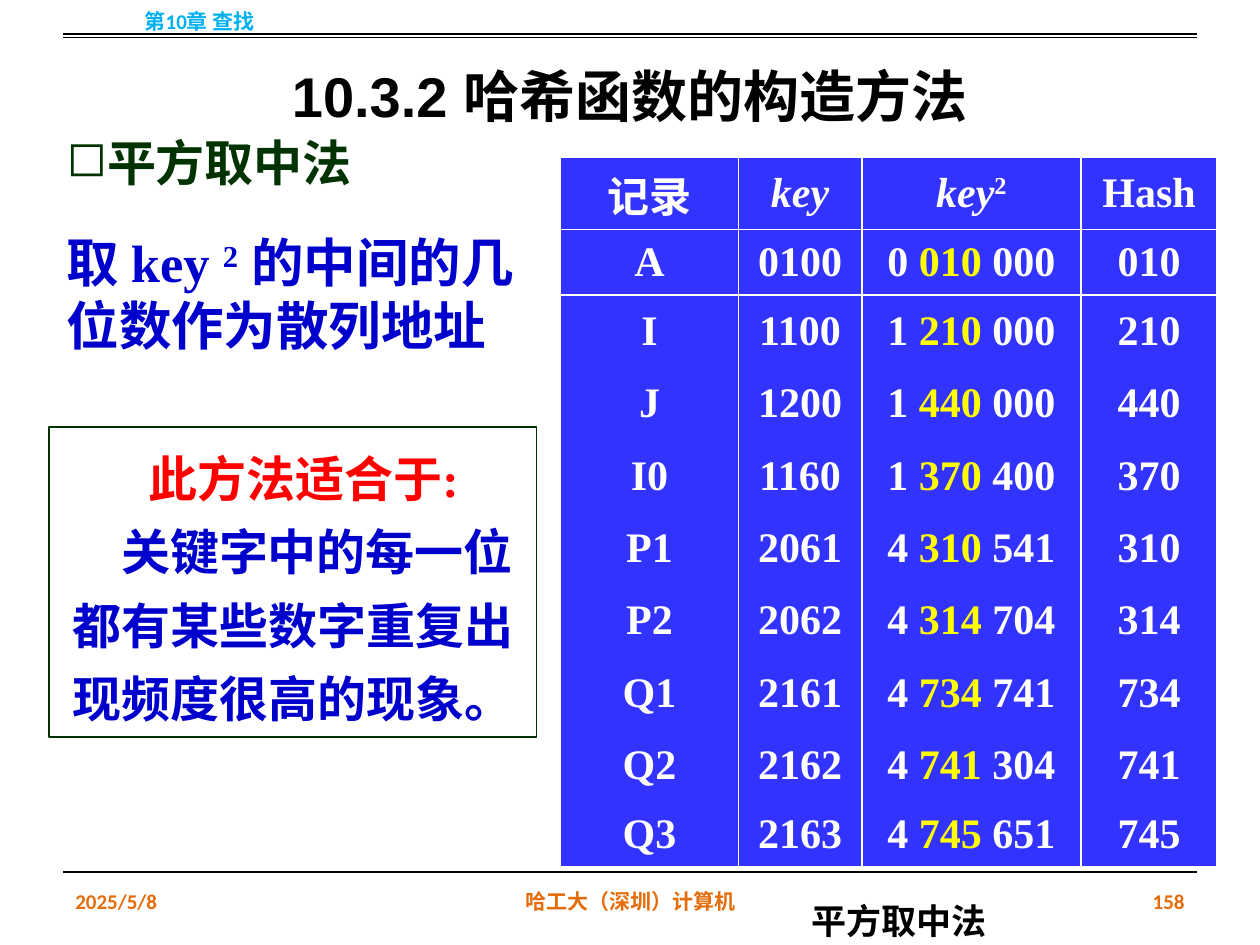
import pptx
import pptx.util
import pptx.dml.color
import pptx.enum.text
import pptx.enum.shapes
import pptx.oxml.ns
import lxml.etree

Inches = pptx.util.Inches
Pt = pptx.util.Pt
RGBColor = pptx.dml.color.RGBColor
ALIGN = pptx.enum.text.PP_ALIGN
ANCHOR = pptx.enum.text.MSO_ANCHOR
qn = pptx.oxml.ns.qn

BLACK = RGBColor(0, 0, 0)
WHITE = RGBColor(255, 255, 255)
ORANGE = RGBColor(0xE4, 0x6C, 0x0A)
SKY = RGBColor(0x00, 0xB0, 0xF0)
GREEN = RGBColor(0x00, 0x33, 0x00)
NAVY = RGBColor(0x00, 0x00, 0xCC)
RED = RGBColor(255, 0, 0)
YELLOW = RGBColor(255, 255, 0)
TABLE_BLUE = RGBColor(0x33, 0x33, 0xFF)
SERIF = "Times New Roman"
NO_STYLE = "{2D5ABB26-0587-4C30-8999-92F81FD0307C}"

RULES = [0.27, 0.3, 6.92]
SMALL_LABELS = [
    ("第10章 查找", (0, -0.03, 3.17, 0.4), ALIGN.CENTER, SKY),
    ("2025/5/8", (0.5, 6.95, 2.33, 0.4), ALIGN.LEFT, ORANGE),
    ("哈工大（深圳）计算机", (3.42, 6.95, 3.17, 0.4), ALIGN.CENTER, ORANGE),
    ("158", (7.17, 6.95, 2.33, 0.4), ALIGN.RIGHT, ORANGE),
]
HEADER = [
    ["记录"],
    [("key", {"italic": True})],
    [("key", {"italic": True}), ("2", {"raised": True})],
    ["Hash"],
]
RECORDS = [
    ("A", "0100", "0 010 000"),
    ("I", "1100", "1 210 000"),
    ("J", "1200", "1 440 000"),
    ("I0", "1160", "1 370 400"),
    ("P1", "2061", "4 310 541"),
    ("P2", "2062", "4 314 704"),
    ("Q1", "2161", "4 734 741"),
    ("Q2", "2162", "4 741 304"),
    ("Q3", "2163", "4 745 651"),
]
COLUMN_WIDTHS = [1.41, 0.98, 1.74, 1.08]
ROW_HEIGHTS = [0.57, 0.52] + [0.575] * 7 + [0.52]


def write(para, spans, size=24, color=WHITE, font=SERIF, align=ALIGN.LEFT,
          spacing=None, left=0, indent=0, bullet=None):
    properties = para._p.get_or_add_pPr()
    if left or indent:
        properties.set("marL", str(Inches(left)))
        properties.set("indent", str(Inches(indent)))
    if bullet:
        lxml.etree.SubElement(properties, qn("a:buChar")).set("char", bullet)
    para.alignment = align
    if spacing:
        para.line_spacing = spacing
    for item in [spans] if isinstance(spans, str) else spans:
        text, style = (item, {}) if isinstance(item, str) else item
        span = para.add_run()
        span.text = text
        span.font.name = font
        span.font.size = Pt(size)
        span.font.bold = True
        span.font.color.rgb = style.get("color", color)
        if style.get("italic"):
            span.font.italic = True
        if style.get("raised"):
            span.font._element.set("baseline", "30000")


def add_text(page, spans, area, anchor=ANCHOR.TOP, wrap=True, **style):
    box = page.shapes.add_textbox(*map(Inches, area))
    box.text_frame.word_wrap = wrap
    box.text_frame.vertical_anchor = anchor
    write(box.text_frame.paragraphs[0], spans, **style)


def add_rule(page, y):
    rule = page.shapes.add_connector(pptx.enum.shapes.MSO_CONNECTOR.STRAIGHT,
                                     Inches(0.5), Inches(y), Inches(9.5), Inches(y))
    rule.line.color.rgb = BLACK
    rule.line.width = Pt(0.75)
    lxml.etree.SubElement(rule._element.spPr, qn("a:effectLst"))


def add_borders(cell, sides):
    properties = cell._tc.get_or_add_tcPr()
    for side in sides:
        line = lxml.etree.SubElement(properties, qn("a:ln" + side), w=str(Pt(1)))
        fill = lxml.etree.SubElement(line, qn("a:solidFill"))
        lxml.etree.SubElement(fill, qn("a:srgbClr"), val=str(WHITE))


def add_hash_table(page):
    rows = [HEADER]
    for name, key, square in RECORDS:
        first, middle, last = square.split()
        square_spans = [first + " ", (middle, {"color": YELLOW}), " " + last]
        rows.append([[name], [key], square_spans, [middle]])
    frame = page.shapes.add_table(len(rows), len(COLUMN_WIDTHS), Inches(4.45), Inches(1.25),
                                  Inches(sum(COLUMN_WIDTHS)), Inches(sum(ROW_HEIGHTS)))
    table = frame.table
    table._tbl.tblPr.find(qn("a:tableStyleId")).text = NO_STYLE
    for column, width in zip(table.columns, COLUMN_WIDTHS):
        column.width = Inches(width)
    for row, height in zip(table.rows, ROW_HEIGHTS):
        row.height = Inches(height)
    for r, row in enumerate(rows):
        sides = ["L", "R"]
        if r <= 1:
            sides.append("T")
        if r in (0, len(rows) - 1):
            sides.append("B")
        for c, spans in enumerate(row):
            cell = table.cell(r, c)
            add_borders(cell, sides)
            cell.fill.solid()
            cell.fill.fore_color.rgb = TABLE_BLUE
            cell.vertical_anchor = ANCHOR.MIDDLE
            write(cell.text_frame.paragraphs[0], spans, align=ALIGN.CENTER)


def add_usage_box(page):
    box = page.shapes.add_shape(pptx.enum.shapes.MSO_SHAPE.RECTANGLE,
                                Inches(0.39), Inches(3.39), Inches(3.87), Inches(2.46))
    box.shadow.inherit = False
    box.fill.background()
    box.line.color.rgb = GREEN
    box.line.width = Pt(0.75)
    box.text_frame.word_wrap = True
    box.text_frame.vertical_anchor = ANCHOR.TOP
    style = {"size": 28, "align": ALIGN.CENTER, "spacing": 1.25}
    write(box.text_frame.paragraphs[0], "此方法适合于:", color=RED, indent=0.17, **style)
    write(box.text_frame.add_paragraph(), "关键字中的每一位都有某些数字重复出现频度很高的现象。",
          color=NAVY, indent=0.38, **style)


def main():
    deck = pptx.Presentation()
    deck.slide_width, deck.slide_height = Inches(10), Inches(7.5)
    page = deck.slides.add_slide(deck.slide_layouts[6])
    add_text(page, "10.3.2 哈希函数的构造方法", (0.5, 0, 9, 1.25), anchor=ANCHOR.MIDDLE,
             size=32, color=BLACK, font="Arial", align=ALIGN.CENTER, spacing=1.5)
    for text, area, align, color in SMALL_LABELS:
        add_text(page, text, area, anchor=ANCHOR.MIDDLE, size=12, color=color,
                 font="Calibri", align=align)
    for y in RULES:
        add_rule(page, y)
    add_text(page, "平方取中法", (0.43, 1, 3.07, 0.57), size=28, color=GREEN,
             left=0.25, indent=-0.25, bullet="◻")
    add_text(page, ["取 key ", ("2", {"raised": True}), " 的中间的几位数作为散列地址"],
             (0.43, 1.78, 4.1, 1.11), size=30, color=NAVY)
    add_hash_table(page)
    add_text(page, "平方取中法", (6.33, 7.09, 1.61, 0.44), wrap=False,
             size=20, color=BLACK, align=ALIGN.CENTER)
    add_usage_box(page)
    deck.save("out.pptx")


if __name__ == "__main__":
    main()
